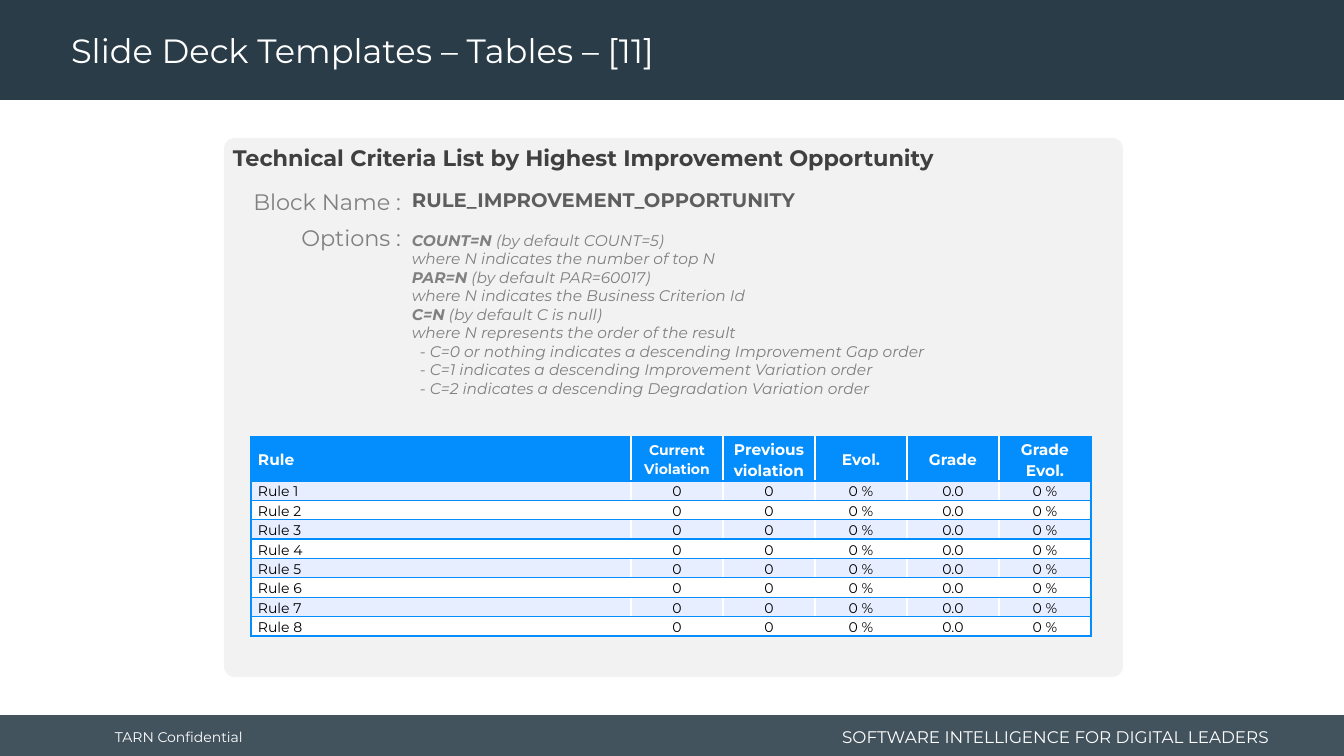
from lxml import etree
from pptx import Presentation
from pptx.dml.color import RGBColor
from pptx.enum.shapes import MSO_SHAPE
from pptx.enum.text import MSO_ANCHOR, MSO_AUTO_SIZE, PP_ALIGN
from pptx.oxml.ns import qn
from pptx.util import Pt

RECT, ROUND = MSO_SHAPE.RECTANGLE, MSO_SHAPE.ROUNDED_RECTANGLE
LEFT, MID, RIGHT = PP_ALIGN.LEFT, PP_ALIGN.CENTER, PP_ALIGN.RIGHT
TOP, CENTER = MSO_ANCHOR.TOP, MSO_ANCHOR.MIDDLE
GROW = MSO_AUTO_SIZE.SHAPE_TO_FIT_TEXT

SCALE = 914400 / 100.8
FONT = "Montserrat"
NAVY, WHITE, BLACK, GRAY = "293C47", "FFFFFF", "000000", "808080"
BLUE, PALE = "048EFD", "E7EEFF"

# Each option line: bold part, plain part, indent in px
OPTIONS = [
    ("COUNT=N", " (by default COUNT=5)", 0),
    ("", "where N indicates the number of top N", 0),
    ("PAR=N", " (by default PAR=60017)", 0),
    ("", "where N indicates the Business Criterion Id", 0),
    ("C=N", " (by default C is null)", 0),
    ("", "where N represents the order of the result", 0),
    ("", "- C=0 or nothing indicates a descending Improvement Gap order", 8),
    ("", "- C=1 indicates a descending Improvement Variation order", 8),
    ("", "- C=2 indicates a descending Degradation Variation order", 8),
]
HEADS = ["Rule", "Current Violation", "Previous violation",
         "Evol.", "Grade", "Grade Evol."]
VALUES = ["0", "0", "0 %", "0.0", "0 %"]
COUNT = 8


def px(num):
    return round(num * SCALE)


def tint(code):
    return RGBColor.from_string(code)


def style(item, form):
    for name, value in form.items():
        setattr(item, name, value)


def add_run(para, text, size, color, **form):
    run = para.add_run()
    run.text = text
    style(run.font, {"name": FONT, "size": Pt(size), **form})
    run.font.color.rgb = tint(color)


def add_panel(slide, kind, box, color):
    panel = slide.shapes.add_shape(kind, *map(px, box))
    panel.shadow.inherit = False
    panel.fill.solid()
    panel.fill.fore_color.rgb = tint(color)
    panel.line.fill.background()
    return panel


def add_frame(slide, box, **form):
    frame = slide.shapes.add_textbox(*map(px, box)).text_frame
    style(frame, {"word_wrap": True, **form})
    return frame


def add_label(slide, box, text, size, color, align=LEFT, bold=False, **form):
    para = add_frame(slide, box, **form).paragraphs[0]
    para.alignment = align
    add_run(para, text, size, color, bold=bold)


def add_options(slide, box):
    frame = add_frame(slide, box, auto_size=GROW)
    for num, (key, text, indent) in enumerate(OPTIONS):
        para = frame.add_paragraph() if num else frame.paragraphs[0]
        if indent:
            para._p.get_or_add_pPr().set("marL", str(px(indent)))
        if key:
            add_run(para, key, 11, GRAY, bold=True, italic=True)
        add_run(para, text, 11, GRAY, italic=True)


def add_edges(cell, sides):
    props = cell._tc.get_or_add_tcPr()
    for spot, side in enumerate(sides):
        line = etree.Element(qn("a:ln" + side), w=str(Pt(1)))
        fill = etree.SubElement(line, qn("a:solidFill"))
        etree.SubElement(fill, qn("a:srgbClr"), val=BLUE)
        props.insert(spot, line)


def fill_cell(cell, text, row, col):
    head = row == 0
    style(cell, {"margin_left": px(7), "margin_right": px(7),
                 "margin_top": 0, "margin_bottom": 0,
                 "vertical_anchor": CENTER if head else TOP})
    cell.fill.solid()
    shade = BLUE if head else PALE if row % 2 else WHITE
    cell.fill.fore_color.rgb = tint(shade)
    para = cell.text_frame.paragraphs[0]
    style(para, {"alignment": MID if col else LEFT, "line_spacing": 1.15})
    size = 11 if head and col != 1 else 10
    add_run(para, text, size, WHITE if head else BLACK, bold=head)
    first, last = col == 0, col == len(HEADS) - 1
    add_edges(cell, "L" * first + "R" * last + "TB")


def add_rules(slide, left, top):
    widths = [380] + [92] * len(VALUES)
    heights = [44] + [19] * COUNT
    data = [HEADS] + [[f"Rule {num}"] + VALUES for num in range(1, COUNT + 1)]
    box = (left, top, sum(widths), sum(heights))
    table = slide.shapes.add_table(len(data), len(HEADS), *map(px, box)).table
    for column, width in zip(table.columns, widths):
        column.width = px(width)
    for row, texts in enumerate(data):
        table.rows[row].height = px(heights[row])
        for col, text in enumerate(texts):
            fill_cell(table.cell(row, col), text, row, col)


def add_title(slide, box, text):
    title = slide.shapes.title
    style(title, dict(zip(("left", "top", "width", "height"), map(px, box))))
    style(title.text_frame, {"vertical_anchor": CENTER, "word_wrap": True})
    para = title.text_frame.paragraphs[0]
    style(para, {"alignment": LEFT, "line_spacing": 0.9})
    add_run(para, text, 24, WHITE)
    # Bring the title in front of the header band
    title.element.getparent().append(title.element)


def main():
    deck = Presentation()
    deck.slide_width, deck.slide_height = px(1344), px(756)
    slide = deck.slides.add_slide(deck.slide_layouts[5])

    # Header and footer bands
    foot = add_panel(slide, RECT, (0, 715, 1344, 41), NAVY)
    color = foot.fill._xPr.find(".//" + qn("a:srgbClr"))
    etree.SubElement(color, qn("a:alpha"), val="88000")
    add_panel(slide, RECT, (0, 0, 1344, 100), NAVY)
    add_label(slide, (105, 717, 149, 40), "TARN Confidential", 10, WHITE,
              vertical_anchor=CENTER, word_wrap=False)
    add_label(slide, (817, 721, 462, 32),
              "SOFTWARE INTELLIGENCE FOR DIGITAL LEADERS", 12, WHITE, RIGHT,
              vertical_anchor=CENTER)
    add_title(slide, (61, 4, 966, 97), "Slide Deck Templates – Tables – [11]")

    # Card with block name and options
    card = add_panel(slide, ROUND, (224, 138, 899, 539), "F2F2F2")
    card.adjustments[0] = 0.02
    add_label(slide, (213, 139, 898, 37),
              "Technical Criteria List by Highest Improvement Opportunity",
              16, "404040", bold=True, auto_size=GROW,
              margin_left=px(20), margin_right=px(20))
    add_label(slide, (402, 183, 731, 34), "RULE_IMPROVEMENT_OPPORTUNITY",
              14, "5E5E5E", bold=True, auto_size=GROW)
    for left, top, width, text in ((243, 183, 168, "Block Name :"),
                                   (289, 219, 122, "Options :")):
        add_label(slide, (left, top, width, 37), text, 16, GRAY, RIGHT,
                  auto_size=GROW, word_wrap=False)
    add_options(slide, (402, 226, 731, 178))

    # Table of rules
    add_rules(slide, 251, 437)
    deck.save("out.pptx")


if __name__ == "__main__":
    main()
